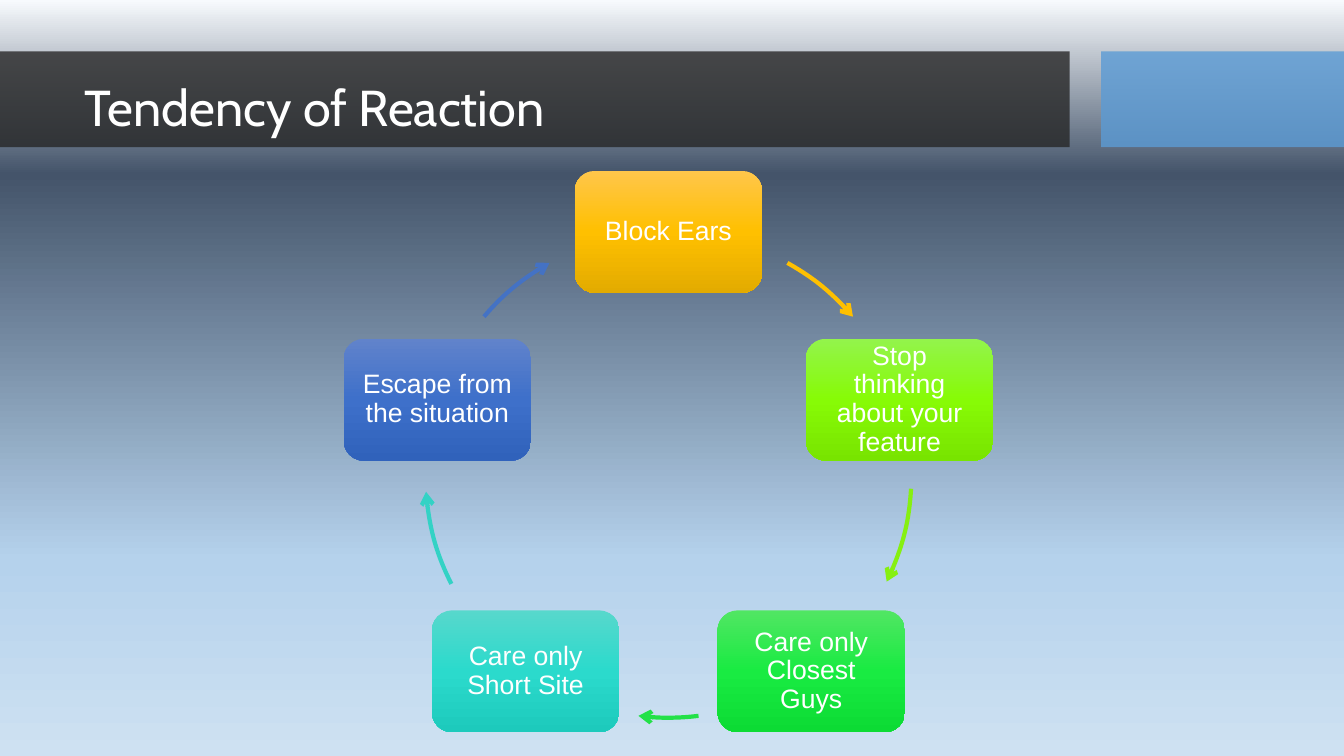
import math

import pptx
import pptx.dml.color
import pptx.enum.shapes
import pptx.enum.text
import pptx.oxml
import pptx.oxml.ns
import pptx.util

Inches = pptx.util.Inches
Pt = pptx.util.Pt
RGBColor = pptx.dml.color.RGBColor
MSO_SHAPE = pptx.enum.shapes.MSO_SHAPE
MSO_ANCHOR = pptx.enum.text.MSO_ANCHOR
PP_ALIGN = pptx.enum.text.PP_ALIGN
qn = pptx.oxml.ns.qn

WHITE = RGBColor(0xFF, 0xFF, 0xFF)
CHARCOAL = RGBColor(0x26, 0x26, 0x26)
BLUE = RGBColor(0x5B, 0x9B, 0xD5)
BACKGROUND = [
    (0, RGBColor(0xF7, 0xFA, 0xFD)),
    (23, RGBColor(0x44, 0x54, 0x6A)),
    (74, RGBColor(0xB5, 0xD2, 0xEC)),
    (100, RGBColor(0xCE, 0xE1, 0xF2)),
]
AMBER = [RGBColor(0xFF, 0xC6, 0x4B), RGBColor(0xFF, 0xC0, 0x00), RGBColor(0xE3, 0xAB, 0x00)]
LIME = [RGBColor(0x93, 0xF4, 0x4C), RGBColor(0x87, 0xFB, 0x06), RGBColor(0x78, 0xE4, 0x00)]
GREEN = [RGBColor(0x51, 0xE6, 0x63), RGBColor(0x19, 0xEB, 0x42), RGBColor(0x0C, 0xDB, 0x34)]
TEAL = [RGBColor(0x57, 0xD8, 0xCC), RGBColor(0x2B, 0xDA, 0xCC), RGBColor(0x1D, 0xCA, 0xBC)]
INDIGO = [RGBColor(0x61, 0x83, 0xCB), RGBColor(0x3E, 0x70, 0xCA), RGBColor(0x30, 0x62, 0xBB)]

STEPS = [
    ("Block Ears", AMBER, RGBColor(0xFF, 0xC0, 0x00), (299.3, 319.4)),
    ("Stop thinking about your feature", LIME, RGBColor(0x86, 0xF0, 0x11), (3.3, 26.1)),
    ("Care only Closest Guys", GREEN, RGBColor(0x23, 0xE1, 0x48), (82.9, 97.1)),
    ("Care only Short Site", TEAL, RGBColor(0x33, 0xD2, 0xC5), (153.3, 176)),
    ("Escape from the situation", INDIGO, RGBColor(0x44, 0x72, 0xC4), (220.6, 240.7)),
]


def set_gradient(element, fill, stops):
    fill.gradient()
    fill.gradient_angle = 270
    stop_list = next(element.iter(qn("a:gsLst")))
    for stop in list(stop_list):
        stop_list.remove(stop)
    for position, color in stops:
        stop = stop_list.makeelement(qn("a:gs"), {"pos": str(position * 1000)})
        stop.append(stop.makeelement(qn("a:srgbClr"), {"val": str(color)}))
        stop_list.append(stop)


def add_bar(slide, left, top, width, height, color):
    sp = slide.shapes.add_shape(
        MSO_SHAPE.RECTANGLE, Inches(left), Inches(top), Inches(width), Inches(height))
    sp.shadow.inherit = False
    sp.fill.solid()
    sp.fill.fore_color.rgb = color
    sp.line.fill.background()
    clr = next(sp._element.spPr.iter(qn("a:srgbClr")))
    clr.append(clr.makeelement(qn("a:alpha"), {"val": "80000"}))


def add_header(slide, left, top, width, height):
    bar_width = 10.61
    accent_left = 10.92
    add_bar(slide, left, top, bar_width, height, CHARCOAL)
    add_bar(slide, left + accent_left, top, width - accent_left, height, BLUE)
    tb = slide.shapes.add_textbox(
        Inches(left + 0.74), Inches(top - 0.01), Inches(10.51), Inches(1.18))
    tf = tb.text_frame
    tf.word_wrap = True
    tf.vertical_anchor = MSO_ANCHOR.MIDDLE
    p = tf.paragraphs[0]
    p.text = "Tendency of Reaction"
    p.line_spacing = 0.9
    p.font.name = "Cabin"
    p.font.size = Pt(36)
    p.font.color.rgb = WHITE


def add_step(slide, left, top, width, height, text, colors):
    sp = slide.shapes.add_shape(
        MSO_SHAPE.ROUNDED_RECTANGLE, Inches(left), Inches(top), Inches(width), Inches(height))
    sp.shadow.inherit = False
    set_gradient(sp._element, sp.fill, zip((0, 50, 100), colors))
    sp.line.fill.background()
    tf = sp.text_frame
    tf.word_wrap = True
    tf.vertical_anchor = MSO_ANCHOR.MIDDLE
    tf.margin_left = tf.margin_right = tf.margin_top = tf.margin_bottom = Inches(0.13)
    p = tf.paragraphs[0]
    p.text = text
    p.alignment = PP_ALIGN.CENTER
    p.line_spacing = 0.9
    p.font.name = "Arial"
    p.font.size = Pt(19)
    p.font.color.rgb = WHITE


def add_arc_arrow(slide, left, top, size, angles, color):
    sp = slide.shapes.add_shape(
        MSO_SHAPE.ARC, Inches(left), Inches(top), Inches(size), Inches(size))
    sp.shadow.inherit = False
    sp.fill.background()
    for i, angle in enumerate(angles):
        sp.adjustments[i] = angle * 0.6
    sp.line.color.rgb = color
    sp.line.width = Pt(3)
    ln = sp.line._get_or_add_ln()
    ln.append(ln.makeelement(qn("a:tailEnd"), {"type": "arrow"}))


def add_cycle(slide, left, top, size):
    radius = size / 2
    box_width, box_height = 1.86, 1.21
    for i, (text, colors, arrow_color, angles) in enumerate(STEPS):
        turn = math.radians(360 / len(STEPS) * i - 90)
        center_x = left + radius + radius * math.cos(turn)
        center_y = top + radius + radius * math.sin(turn)
        add_step(slide, center_x - box_width / 2, center_y - box_height / 2,
                 box_width, box_height, text, colors)
        add_arc_arrow(slide, left, top, size, angles, arrow_color)


def main():
    prs = pptx.Presentation()
    prs.slide_width = Inches(13.33)
    prs.slide_height = Inches(7.5)
    slide = prs.slides.add_slide(prs.slide_layouts[6])
    set_gradient(slide._element, slide.background.fill, BACKGROUND)
    add_header(slide, 0, 0.51, 13.33, 0.95)
    add_cycle(slide, 4.22, 2.3, 4.82)
    prs.save("out.pptx")


if __name__ == "__main__":
    main()
